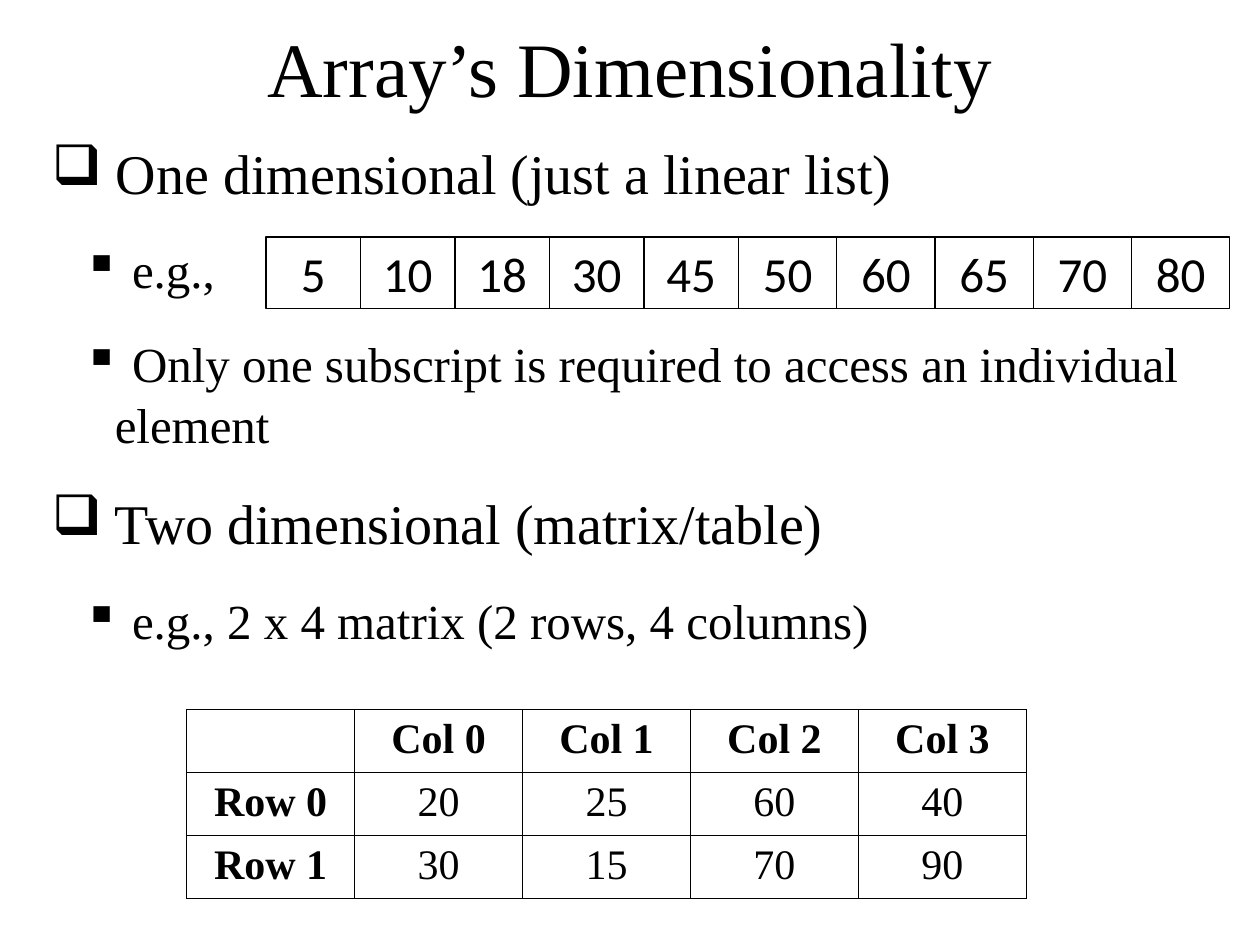
from itertools import chain

from lxml.etree import SubElement
from pptx import Presentation
from pptx.dml.color import RGBColor
from pptx.enum.shapes import MSO_SHAPE as Shape
from pptx.enum.text import MSO_ANCHOR as Anchor, MSO_AUTO_SIZE as AutoSize, PP_ALIGN as Align
from pptx.oxml.ns import qn
from pptx.util import Pt

BLACK = RGBColor(0, 0, 0)
SERIF = "Times New Roman"
SANS = "Calibri"

TOPICS = [
    (0, " One dimensional (just a linear list)"),
    (1, " e.g.,"),
    (1, " Only one subscript is required to access an individual element"),
    (0, " Two dimensional (matrix/table)"),
    (1, " e.g., 2 x 4 matrix (2 rows, 4 columns)"),
]
LEVEL_STYLES = [("❑", 0, 0, 32), ("▪", 36, -18, 28)]
LIST_VALUES = [5, 10, 18, 30, 45, 50, 60, 65, 70, 80]
LIST_WIDTHS = [54] * 5 + [56.16] * 5
MATRIX = [
    ["", "Col 0", "Col 1", "Col 2", "Col 3"],
    ["Row 0", "20", "25", "60", "40"],
    ["Row 1", "30", "15", "70", "90"],
]


def style_font(paragraph, name, size, bold=False):
    """Give a paragraph its black font."""
    font = paragraph.font
    font.name, font.size, font.bold = name, Pt(size), bold
    font.color.rgb = BLACK


def add_title(slide, left, top, width, height):
    """Place and format the title placeholder."""
    title = slide.shapes.title
    title.left, title.top, title.width, title.height = map(Pt, (left, top, width, height))
    frame = title.text_frame
    frame.text = "Array’s Dimensionality"
    frame.auto_size = AutoSize.NONE
    frame.vertical_anchor = Anchor.TOP
    frame.margin_top = frame.margin_bottom = 0
    paragraph = frame.paragraphs[0]
    paragraph.alignment = Align.CENTER
    style_font(paragraph, SERIF, 44)


def add_bullet(paragraph, character, margin, indent):
    """Give a paragraph a black bullet with its indents."""
    properties = paragraph._p.get_or_add_pPr()
    properties.set("marL", str(Pt(margin)))
    properties.set("indent", str(Pt(indent)))
    color = SubElement(properties, qn("a:buClr"))
    SubElement(color, qn("a:srgbClr"), val=str(BLACK))
    SubElement(properties, qn("a:buChar"), char=character)


def add_topics(slide, left, top, width, height):
    """Write the two-level list of topics."""
    frame = slide.shapes.add_textbox(*map(Pt, (left, top, width, height))).text_frame
    frame.word_wrap = True
    for index, (level, text) in enumerate(TOPICS):
        paragraph = frame.add_paragraph() if index else frame.paragraphs[0]
        paragraph.text = text
        paragraph.level = level
        character, margin, indent, size = LEVEL_STYLES[level]
        add_bullet(paragraph, character, margin, indent)
        paragraph.line_spacing = 1.05
        paragraph.space_before = Pt(12 if index else 0)
        paragraph.space_after = Pt(6)
        style_font(paragraph, SERIF, size)


def add_linear_list(slide, left, top, height):
    """Draw the one-dimensional array as a row of boxes."""
    group = slide.shapes.add_group_shape()
    for value, width in zip(LIST_VALUES, LIST_WIDTHS):
        box = group.shapes.add_shape(Shape.RECTANGLE, *map(Pt, (left, top, width, height)))
        box.shadow.inherit = False
        box.fill.background()
        box.line.color.rgb = BLACK
        box.line.width = Pt(0.75)
        box.text_frame.text = str(value)
        box.text_frame.vertical_anchor = Anchor.TOP
        paragraph = box.text_frame.paragraphs[0]
        paragraph.alignment = Align.CENTER
        style_font(paragraph, SANS, 28)
        left += width


def add_borders(cell):
    """Draw thin black lines on the four sides of a cell."""
    properties = cell._tc.get_or_add_tcPr()
    for index, side in enumerate(("lnL", "lnR", "lnT", "lnB")):
        line = properties.makeelement(qn(f"a:{side}"), {"w": str(Pt(0.45))})
        fill = SubElement(line, qn("a:solidFill"))
        SubElement(fill, qn("a:srgbClr"), val=str(BLACK))
        properties.insert(index, line)


def add_matrix(slide, left, top, width, height):
    """Build the two-dimensional array as a table."""
    rows, columns = len(MATRIX), len(MATRIX[0])
    table = slide.shapes.add_table(rows, columns, *map(Pt, (left, top, width, height))).table
    table.first_row = table.horz_banding = False
    for index, (cell, text) in enumerate(zip(table.iter_cells(), chain.from_iterable(MATRIX))):
        cell.text = text
        cell.fill.background()
        add_borders(cell)
        paragraph = cell.text_frame.paragraphs[0]
        paragraph.alignment = Align.CENTER
        style_font(paragraph, SERIF, 24, bold=index < columns or index % columns == 0)


def main():
    """Build the slide and save it."""
    presentation = Presentation()
    presentation.slide_width, presentation.slide_height = Pt(720), Pt(540)
    slide = presentation.slides.add_slide(presentation.slide_layouts[5])
    add_title(slide, 54, 11.5, 612, 44.6)
    add_topics(slide, 22.5, 73.5, 675, 444)
    add_linear_list(slide, 152, 135.4, 41)
    add_matrix(slide, 106.6, 405.4, 480, 108)
    presentation.save("out.pptx")


if __name__ == "__main__":
    main()
